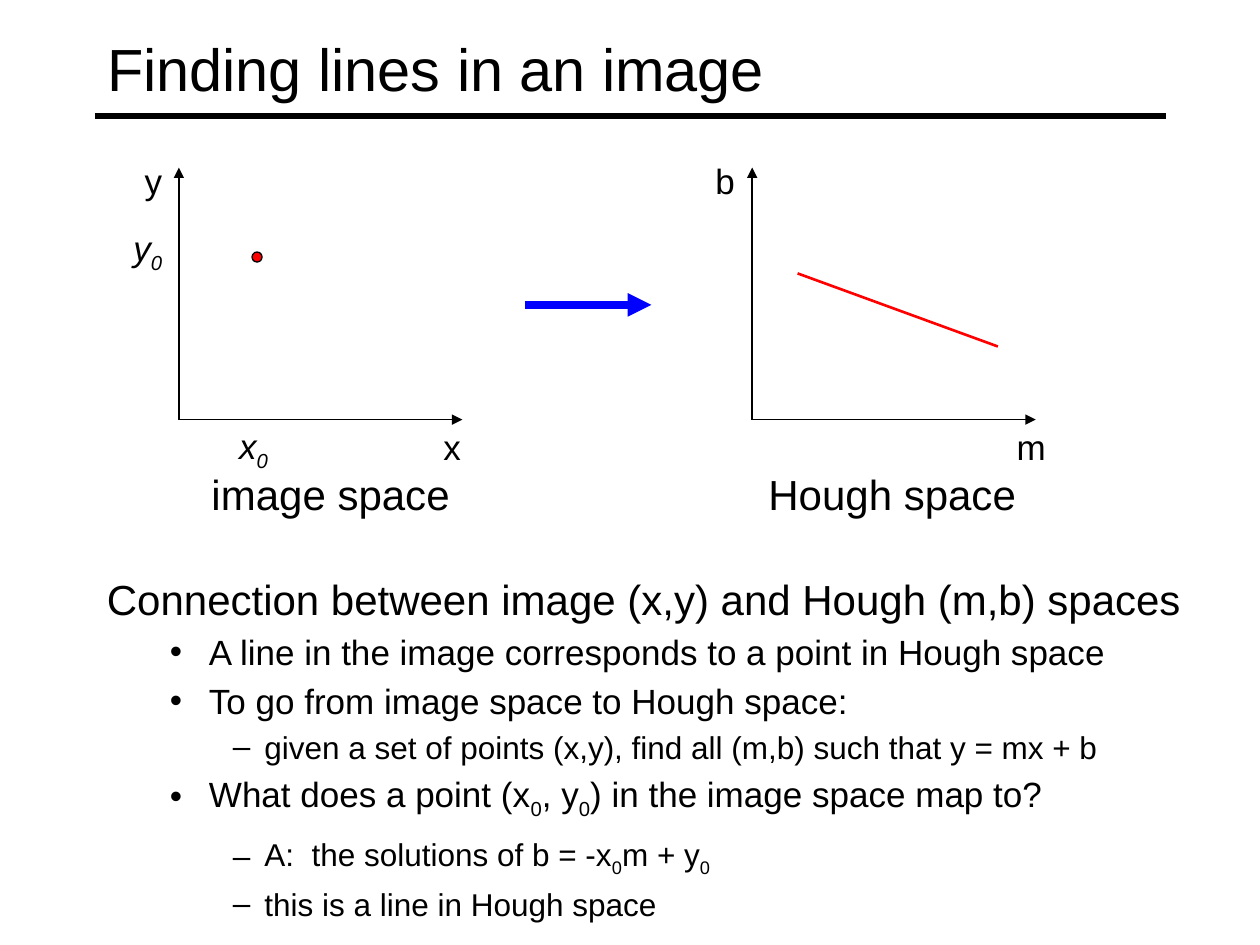
from dataclasses import dataclass

from lxml.etree import SubElement
from pptx import Presentation
from pptx.dml.color import RGBColor
from pptx.enum.shapes import MSO_CONNECTOR, MSO_SHAPE
from pptx.enum.text import MSO_ANCHOR, MSO_AUTO_SIZE, PP_ALIGN
from pptx.oxml.ns import qn
from pptx.util import Emu, Pt

PX = 9144  # 100 px to the inch
FONT = "Arial"
COLORS = {"ink": "000000", "red": "FF0000", "blue": "0000FF"}


@dataclass(frozen=True)
class Level:
    size: int
    indent: int = 0
    hanging: int = 0
    bullet: str = ""
    space_before: float = 0


@dataclass(frozen=True)
class Label:
    text: str
    left: int
    top: int
    width: int
    height: int = 43
    size: int = 20
    italic: bool = False


@dataclass(frozen=True)
class Line:
    x1: int
    y1: int
    x2: int
    y2: int
    color: str = "ink"
    weight: float = 1
    arrow: bool = False


HEADING = Level(24, 38, 38)
POINT = Level(20, 81, 31, "•", 4)
DETAIL = Level(18, 125, 25, "–", 3.6)

AXIS_ORIGINS = (142, 597)
AXIS_BASE, AXIS_HEIGHT, AXIS_WIDTH = 333, 200, 225

LINES = [
    Line(75, 92, 925, 92, weight=3),
    Line(417, 242, 517, 242, "blue", 4.5, arrow=True),
    Line(633, 217, 792, 275, "red", 1.5),
]
LABELS = [
    Label("x", 342, 333, 34),
    Label("y", 105, 122, 34),
    Label("m", 797, 333, 43),
    Label("b", 558, 122, 36),
    Label("image space", 158, 367, 209, 50, 24),
    Label("Hough space", 600, 367, 217, 50, 24),
    Label("x_0", 180, 332, 44, italic=True),
    Label("y_0", 96, 175, 44, italic=True),
]
CONNECTION = [
    (HEADING, "Connection between image (x,y) and Hough (m,b) spaces"),
    (POINT, "A line in the image corresponds to a point in Hough space"),
    (POINT, "To go from image space to Hough space:"),
    (DETAIL, "given a set of points (x,y), find all (m,b) such that y = mx + b"),
    (POINT, "What does a point (x_0, y_0) in the image space map to?"),
]
ANSWER = [
    (DETAIL, "A:  the solutions of b = -x_0m + y_0"),
    (DETAIL, "this is a line in Hough space"),
]


def px(length: int) -> Emu:
    return Emu(length * PX)


def rgb(name: str) -> RGBColor:
    return RGBColor.from_string(COLORS[name])


def format_paragraph(paragraph, size: int, italic: bool = False) -> None:
    font = paragraph.font
    font.name, font.size, font.italic = FONT, Pt(size), italic
    font.color.rgb = rgb("ink")


def add_runs(paragraph, text: str) -> None:
    """Add text in which the character after an underscore is a subscript."""
    first, *rest = text.split("_")
    paragraph.add_run().text = first
    for part in rest:
        subscript = paragraph.add_run()
        subscript.text = part[0]
        subscript.font._element.set("baseline", "-25000")
        if part[1:]:
            paragraph.add_run().text = part[1:]


def apply_level(paragraph, level: Level, is_first: bool) -> None:
    properties = paragraph._p.get_or_add_pPr()
    properties.set("marL", str(px(level.indent)))
    properties.set("indent", str(-px(level.hanging)))
    paragraph.space_before = Pt(0 if is_first else level.space_before)
    if level.bullet:
        color = SubElement(properties, qn("a:buClr"))
        SubElement(color, qn("a:srgbClr"), val=COLORS["ink"])
        SubElement(properties, qn("a:buFont"), typeface=FONT)
        SubElement(properties, qn("a:buChar"), char=level.bullet)


def add_outline(slide, items: list[tuple[Level, str]], top: int, height: int) -> None:
    frame = slide.shapes.add_textbox(px(75), px(top), px(892), px(height)).text_frame
    frame.word_wrap = True
    for index, (level, text) in enumerate(items):
        paragraph = frame.add_paragraph() if index else frame.paragraphs[0]
        apply_level(paragraph, level, is_first=index == 0)
        add_runs(paragraph, text)
        format_paragraph(paragraph, level.size)


def add_label(slide, label: Label) -> None:
    box = slide.shapes.add_textbox(
        px(label.left), px(label.top), px(label.width), px(label.height))
    frame = box.text_frame
    frame.word_wrap = False
    frame.auto_size = MSO_AUTO_SIZE.SHAPE_TO_FIT_TEXT
    add_runs(frame.paragraphs[0], label.text)
    format_paragraph(frame.paragraphs[0], label.size, label.italic)


def add_line(slide, line: Line) -> None:
    connector = slide.shapes.add_connector(
        MSO_CONNECTOR.STRAIGHT, px(line.x1), px(line.y1), px(line.x2), px(line.y2))
    connector.line.color.rgb = rgb(line.color)
    connector.line.width = Pt(line.weight)
    if line.arrow:
        SubElement(connector.line._get_or_add_ln(), qn("a:tailEnd"), type="triangle")
    SubElement(connector._element.spPr, qn("a:effectLst"))


def add_axes(slide, origin: int) -> None:
    for x, y in ((origin, AXIS_BASE - AXIS_HEIGHT), (origin + AXIS_WIDTH, AXIS_BASE)):
        add_line(slide, Line(origin, AXIS_BASE, x, y, arrow=True))


def add_point(slide) -> None:
    point = slide.shapes.add_shape(MSO_SHAPE.OVAL, px(200), px(200), px(8), px(8))
    point.shadow.inherit = False
    point.fill.solid()
    point.fill.fore_color.rgb = rgb("red")
    point.line.color.rgb = rgb("ink")
    point.line.width = Pt(0.75)


def set_title(slide, text: str) -> None:
    title = slide.shapes.title
    title.left, title.top, title.width, title.height = map(px, (75, 8, 850, 92))
    frame = title.text_frame
    frame.text = text
    frame.vertical_anchor = MSO_ANCHOR.MIDDLE
    frame.auto_size = MSO_AUTO_SIZE.NONE
    frame.paragraphs[0].alignment = PP_ALIGN.LEFT
    format_paragraph(frame.paragraphs[0], 34)


def main() -> None:
    presentation = Presentation()
    presentation.slide_width, presentation.slide_height = px(1000), px(750)
    slide = presentation.slides.add_slide(presentation.slide_layouts[5])
    set_title(slide, "Finding lines in an image")
    add_outline(slide, CONNECTION, top=450, height=208)
    add_outline(slide, ANSWER, top=658, height=75)
    for origin in AXIS_ORIGINS:
        add_axes(slide, origin)
    for line in LINES:
        add_line(slide, line)
    add_point(slide)
    for label in LABELS:
        add_label(slide, label)
    presentation.save("out.pptx")


if __name__ == "__main__":
    main()
